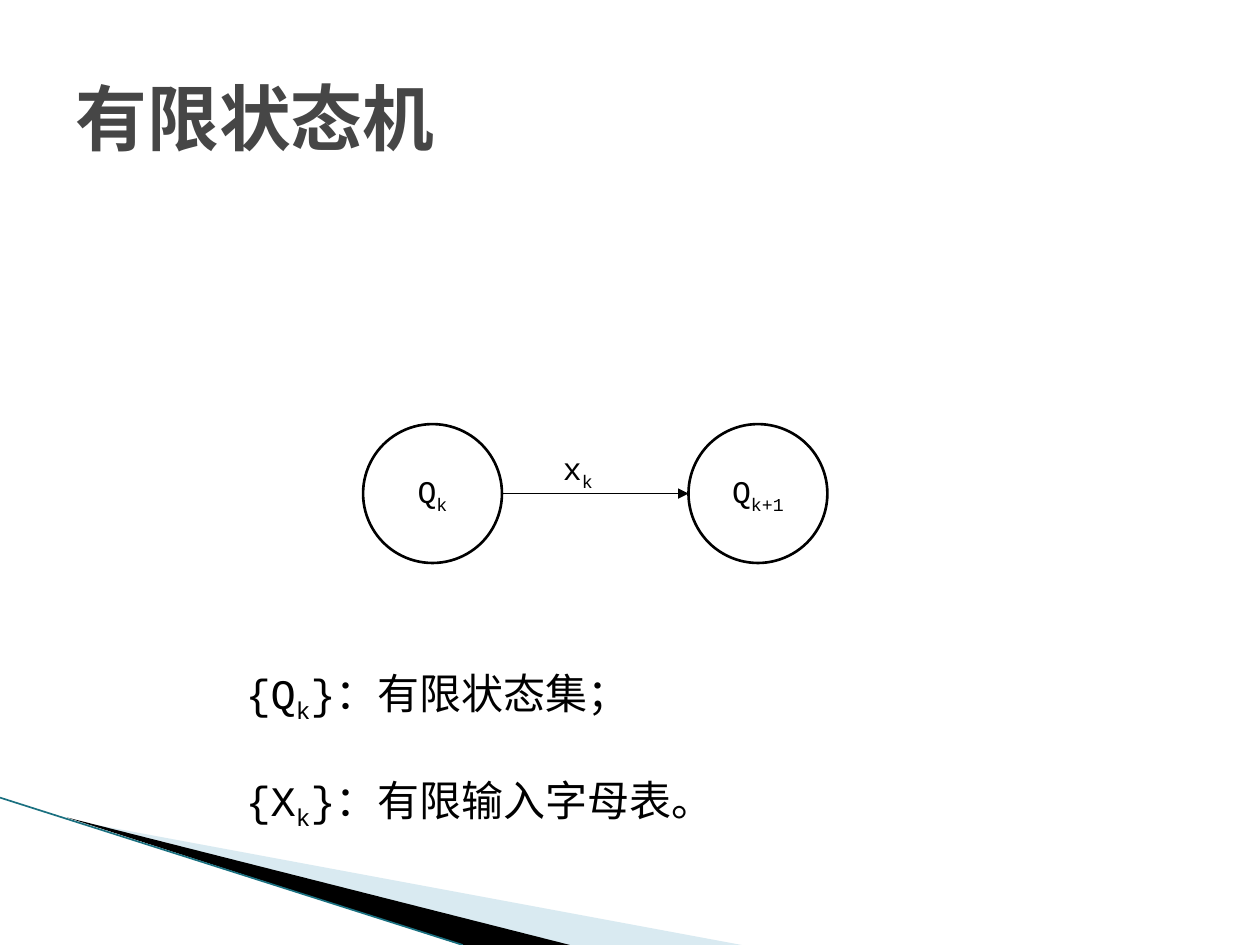
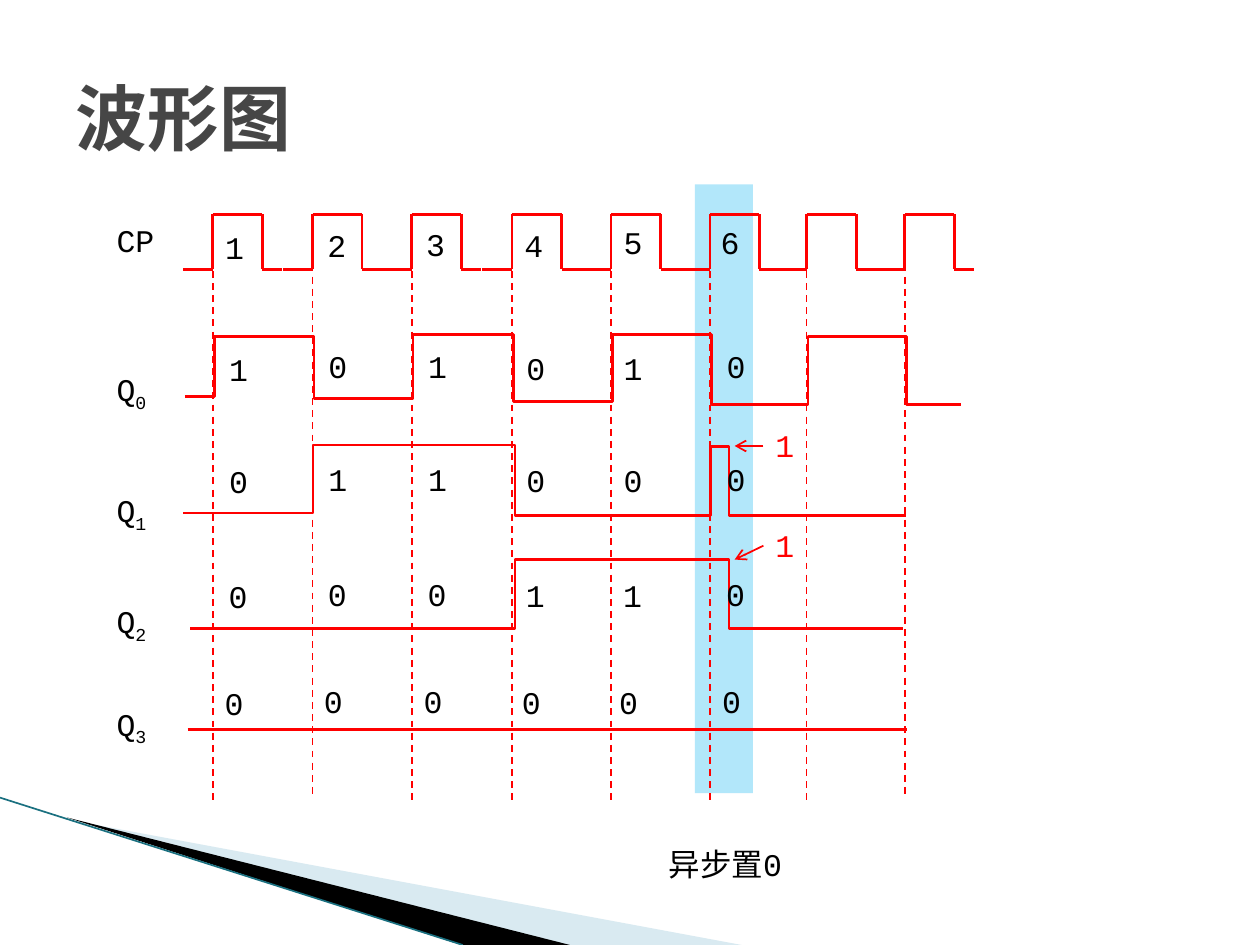
from lxml import etree
from pptx import Presentation
from pptx.dml.color import RGBColor
from pptx.enum import dml, shapes, text
from pptx.oxml.ns import qn
from pptx.util import Cm, Pt

BLACK = RGBColor(0x00, 0x00, 0x00)
TITLE_GRAY = RGBColor(0x46, 0x46, 0x46)
RED = RGBColor(0xFF, 0x00, 0x00)
HIGHLIGHT_BLUE = RGBColor(0x00, 0xB0, 0xF0)
SWOOSH_BLUE = RGBColor(0xA0, 0xCB, 0xDC)
SWOOSH_EDGE = RGBColor(0x1A, 0x70, 0x80)


class Deck:
    font = "Courier New"
    title_size = 41
    text_size = 18

    def __init__(self):
        self.presentation = Presentation()
        self.presentation.slide_width = Cm(25.4)
        self.presentation.slide_height = Cm(19.05)
        self.slide = None

    def add_slide(self, title):
        layout = self.presentation.slide_layouts[5]
        self.slide = self.presentation.slides.add_slide(layout)
        self.polygon([(1.4, 16.53), (14.95, 19.05), (11.45, 19.05)], SWOOSH_BLUE, 40)
        self.polygon([(1.35, 16.48), (11.49, 19.05), (9.3, 19.05)], BLACK)
        self.line((0, 16.08), (9.33, 19.05), SWOOSH_EDGE, 0.95)
        shape = self.slide.shapes.title
        shape.left, shape.top = Cm(1.27), Cm(0.76)
        shape.width, shape.height = Cm(22.86), Cm(3.18)
        frame = shape.text_frame
        frame.vertical_anchor = text.MSO_ANCHOR.MIDDLE
        paragraph = frame.paragraphs[0]
        paragraph.alignment = text.PP_ALIGN.LEFT
        self.add_runs(paragraph, [title], self.title_size, TITLE_GRAY, bold=True)

    def add_runs(self, paragraph, pieces, size, color, bold=False):
        for index, piece in enumerate(pieces):
            run = paragraph.add_run()
            run.text = piece
            run.font.name = self.font
            run.font.size = Pt(size)
            run.font.bold = bold
            run.font.color.rgb = color
            if index % 2:
                run._r.get_or_add_rPr().set("baseline", "-25000")

    def label(self, left, top, width, pieces, color=BLACK):
        self.text_box(left, top, width, 1.02, [pieces], self.text_size, color)

    def text_box(self, left, top, width, height, lines, size, color=BLACK, gap=0):
        shape = self.slide.shapes.add_textbox(Cm(left), Cm(top), Cm(width), Cm(height))
        frame = shape.text_frame
        frame.word_wrap = True
        for index, pieces in enumerate(lines):
            paragraph = frame.add_paragraph() if index else frame.paragraphs[0]
            if index:
                paragraph.space_before = Pt(gap)
            self.add_runs(paragraph, pieces, size, color)

    def fill(self, shape, color, opacity=100):
        shape.shadow.inherit = False
        shape.fill.solid()
        shape.fill.fore_color.rgb = color
        if opacity < 100:
            color_element = shape._element.spPr.find(".//" + qn("a:srgbClr"))
            etree.SubElement(color_element, qn("a:alpha")).set("val", str(opacity * 1000))
        shape.line.fill.background()

    def outline(self, shape, color, width):
        shape.shadow.inherit = False
        shape.fill.background()
        shape.line.color.rgb = color
        shape.line.width = Pt(width)

    def freeform(self, points, close):
        corners = [(Cm(x), Cm(y)) for x, y in points]
        builder = self.slide.shapes.build_freeform(*corners[0])
        builder.add_line_segments(corners[1:], close=close)
        return builder.convert_to_shape()

    def polygon(self, points, color, opacity=100):
        self.fill(self.freeform(points, close=True), color, opacity)

    def band(self, left, top, width, height, color, opacity):
        shape = self.slide.shapes.add_shape(
            shapes.MSO_SHAPE.RECTANGLE, Cm(left), Cm(top), Cm(width), Cm(height))
        self.fill(shape, color, opacity)

    def state(self, left, top, diameter, pieces):
        shape = self.slide.shapes.add_shape(
            shapes.MSO_SHAPE.OVAL, Cm(left), Cm(top), Cm(diameter), Cm(diameter))
        self.outline(shape, BLACK, 1.5)
        frame = shape.text_frame
        frame.vertical_anchor = text.MSO_ANCHOR.MIDDLE
        paragraph = frame.paragraphs[0]
        paragraph.alignment = text.PP_ALIGN.CENTER
        self.add_runs(paragraph, pieces, self.text_size, BLACK)

    def line(self, start, end, color, width, dashed=False, arrow=None):
        connector = self.slide.shapes.add_connector(
            shapes.MSO_CONNECTOR.STRAIGHT, *(Cm(value) for value in start + end))
        connector.line.color.rgb = color
        connector.line.width = Pt(width)
        if dashed:
            connector.line.dash_style = dml.MSO_LINE.DASH
        properties = connector._element.spPr
        if arrow:
            etree.SubElement(properties.find(qn("a:ln")), qn("a:tailEnd")).set("type", arrow)
        etree.SubElement(properties, qn("a:effectLst"))

    def pulse(self, rise, low, high):
        fall = rise + 1
        points = [(rise - 0.6, low), (rise, low), (rise, high),
                  (fall, high), (fall, low), (fall + 0.4, low)]
        for start, end in zip(points, points[1:]):
            self.line(start, end, RED, 1.5)

    def wave(self, start, end, edges, levels):
        bounds = [start, *edges, end]
        points = []
        for left, right, level in zip(bounds, bounds[1:], levels):
            points += [(left, level), (right, level)]
        self.outline(self.freeform(points, close=False), RED, 1.5)


def add_state_machine(deck):
    deck.add_slide("有限状态机")
    diameter, top = 2.8, 8.55
    current, following = 7.32, 13.88
    middle = top + diameter / 2
    deck.state(following, top, diameter, ["Q", "k+1"])
    deck.state(current, top, diameter, ["Q", "k"])
    deck.line((current + diameter, middle), (following, middle), BLACK, 1, arrow="triangle")
    deck.label(11.1, 8.92, 1.2, ["x", "k"])
    definitions = [["{Q", "k", "}：有限状态集；"], ["{X", "k", "}：有限输入字母表。"]]
    deck.text_box(4.7, 13.33, 10.5, 3.33, definitions, 24, gap=28.3)


def add_waveforms(deck):
    deck.add_slide("波形图")
    deck.band(14.01, 3.72, 1.17, 12.27, HIGHLIGHT_BLUE, 30)

    rising = [4.29, 6.3, 8.3, 10.32, 12.32, 14.31, 16.26, 18.24]
    switching = [rise + 0.03 for rise in rising]
    reset = 14.7
    for index, rise in enumerate(rising):
        deck.pulse(rise, 5.43, 4.32)
        top = 5.33 if index in (1, 7) else 5.46
        deck.line((rise, top), (rise, top + 10.67), RED, 1, dashed=True)
    deck.wave(3.73, 19.38, switching,
              [8, 6.78, 8.03, 6.74, 8.1, 6.74, 8.15, 6.78, 8.15])
    deck.wave(3.7, 18.26, [6.31, 10.38, 14.33, reset],
              [10.34, 8.97, 10.39, 9, 10.39])
    deck.wave(3.84, 18.21, [10.38, reset], [12.67, 11.28, 12.67])
    deck.line((3.78, 14.71), (18.29, 14.71), RED, 1.5)

    clock_columns = [(4.29, 0.1), (6.35, 0.07), (8.34, 0.05),
                     (10.32, 0.07), (12.32, 0), (14.28, 0)]
    state_columns = [(4.37, 0.05), (6.37, 0), (8.38, 0),
                     (10.36, 0.03), (12.32, 0.03), (14.4, 0)]
    signals = [
        (["CP"], 4.33, "123456", clock_columns, 0, 4.37),
        (["Q", "0"], 7.33, "101010", state_columns, 0, 6.88),
        (["Q", "1"], 9.78, "011000", state_columns, 0, 9.14),
        (["Q", "2"], 12.02, "000110", state_columns, -0.01, 11.46),
        (["Q", "3"], 14.08, "000000", state_columns, -0.09, 13.62),
    ]
    for name, name_top, digits, columns, shift, digits_top in signals:
        deck.label(2.1, name_top, 1.32, name)
        for digit, (left, drop) in zip(digits, columns):
            deck.label(left + shift, digits_top + drop, 0.92, [digit])

    for top, start_y, end_y in [(8.47, 8.99, 8.99), (10.48, 11, 11.28)]:
        deck.label(15.38, top, 0.92, ["1"], RED)
        deck.line((15.39, start_y), (14.81, end_y), RED, 1, arrow="arrow")
    deck.label(13.23, 16.92, 2.84, ["异步置0"])


def main():
    deck = Deck()
    add_state_machine(deck)
    add_waveforms(deck)
    deck.presentation.save("out.pptx")


if __name__ == "__main__":
    main()
